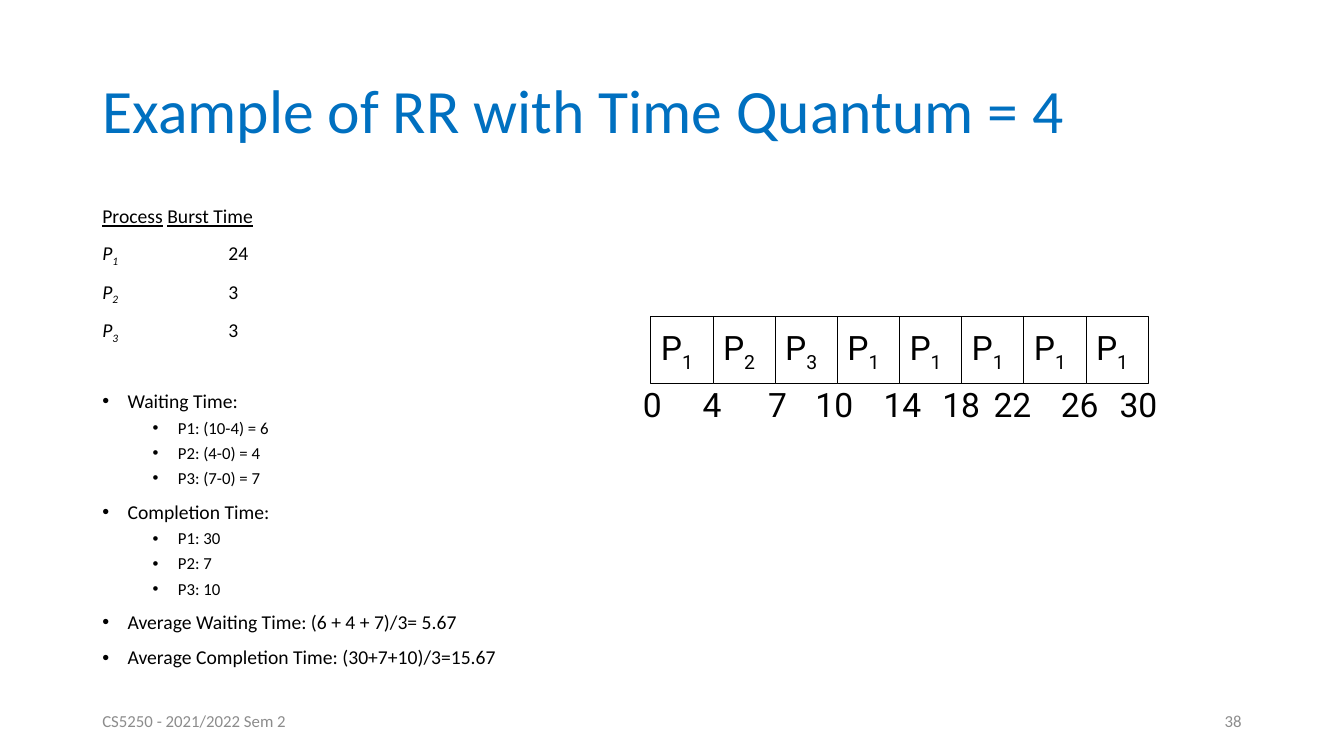
from lxml.etree import SubElement
from pptx import Presentation
from pptx.dml.color import RGBColor
from pptx.enum.shapes import MSO_SHAPE
from pptx.enum.text import MSO_ANCHOR, PP_ALIGN
from pptx.oxml.ns import qn
from pptx.util import Inches, Pt

presentation = Presentation()
presentation.slide_width = Inches(13.33)
presentation.slide_height = Inches(7.5)
slide = presentation.slides.add_slide(presentation.slide_layouts[6])
column = presentation.slide_width / 160
row = presentation.slide_height / 90
margin = 11
content_width = 138


def add_box(left, top, width, height, anchor=MSO_ANCHOR.MIDDLE, wrap=True, rectangle=False):
    place = [int(left * column), int(top * row), int(width * column), int(height * row)]
    if rectangle:
        shape = slide.shapes.add_shape(MSO_SHAPE.RECTANGLE, *place)
        shape.shadow.inherit = False
    else:
        shape = slide.shapes.add_textbox(*place)
    shape.text_frame.word_wrap = wrap
    shape.text_frame.vertical_anchor = anchor
    return shape


def add_run(paragraph, text, size, color="000000", font="Calibri", italic=None, underline=None, subscript=False):
    run = paragraph.add_run()
    run.text = text
    run.font.name = font
    run.font.size = Pt(size)
    run.font.color.rgb = RGBColor.from_string(color)
    run.font.italic = italic
    run.font.underline = underline
    if subscript:
        run.font._element.set("baseline", "-25000")


title = add_box(margin, 4.8, content_width, 17.4).text_frame.paragraphs[0]
title.line_spacing = 0.9
add_run(title, "Example of RR with Time Quantum = 4", 44, "0070C0")

body = add_box(margin, 24, content_width, 57.1, MSO_ANCHOR.TOP).text_frame
heading = body.paragraphs[0]
heading.line_spacing = 0.9
add_run(heading, "Process", 14, underline=True)
add_run(heading, " ", 14)
add_run(heading, "Burst Time", 14, underline=True)

for number, burst in [("1", "24"), ("2", "3"), ("3", "3")]:
    paragraph = body.add_paragraph()
    paragraph.line_spacing = 0.9
    paragraph.space_before = Pt(10)
    tabs = SubElement(paragraph._p.get_or_add_pPr(), qn("a:tabLst"))
    SubElement(tabs, qn("a:tab"), pos=str(Inches(1.25)), algn="l")
    add_run(paragraph, "P", 14, italic=True)
    add_run(paragraph, number + "\t", 14, italic=True, subscript=True)
    add_run(paragraph, burst, 14)

results = [
    (0, "Waiting Time:", 35.4),
    (1, "P1: (10-4) = 6", 5),
    (1, "P2: (4-0) = 4", 5),
    (1, "P3: (7-0) = 7", 5),
    (0, "Completion Time:", 10),
    (1, "P1: 30", 5),
    (1, "P2: 7", 5),
    (1, "P3: 10", 5),
    (0, "Average Waiting Time: (6 + 4 + 7)/3= 5.67", 10),
    (0, "Average Completion Time: (30+7+10)/3=15.67", 10),
]
for level, text, space in results:
    paragraph = body.add_paragraph()
    paragraph.level = level
    paragraph.line_spacing = 0.9
    paragraph.space_before = Pt(space)
    properties = paragraph._p.get_or_add_pPr()
    properties.set("marL", str(Inches(0.25 + 0.5 * level)))
    properties.set("indent", str(Inches(-0.25)))
    SubElement(properties, qn("a:buFont"), typeface="Arial")
    SubElement(properties, qn("a:buChar"), char="•")
    add_run(paragraph, text, 14 - 2 * level)

for index, process in enumerate("12311111"):
    cell = add_box(77.5 + 7.4 * index, 37.7, 7.4, 8, wrap=False, rectangle=True)
    cell.fill.solid()
    cell.fill.fore_color.rgb = RGBColor.from_string("FFFFFF")
    cell.line.color.rgb = RGBColor.from_string("000000")
    cell.line.width = Pt(0.75)
    paragraph = cell.text_frame.paragraphs[0]
    paragraph.alignment = PP_ALIGN.LEFT
    add_run(paragraph, "P", 24, font="Roboto")
    add_run(paragraph, process, 24, font="Roboto", subscript=True)

times = ["0", "4", "7", "10", "14", "18", "22", "26", "30"]
centers = [77.7, 84.8, 92.6, 99.4, 107.5, 114.5, 120.6, 128.6, 135.6]
for time, center in zip(times, centers):
    width = 2.4 + 2.3 * len(time)
    label = add_box(center - width / 2, 45, width, 6.1, wrap=False)
    add_run(label.text_frame.paragraphs[0], time, 24, font="Roboto")

footers = [
    (margin, "CS5250 - 2021/2022 Sem 2", PP_ALIGN.LEFT),
    (margin + content_width - 36, "38", PP_ALIGN.RIGHT),
]
for left, text, alignment in footers:
    paragraph = add_box(left, 83.4, 36, 4.8).text_frame.paragraphs[0]
    paragraph.alignment = alignment
    add_run(paragraph, text, 12, "8C8C8C")

presentation.save("out.pptx")
